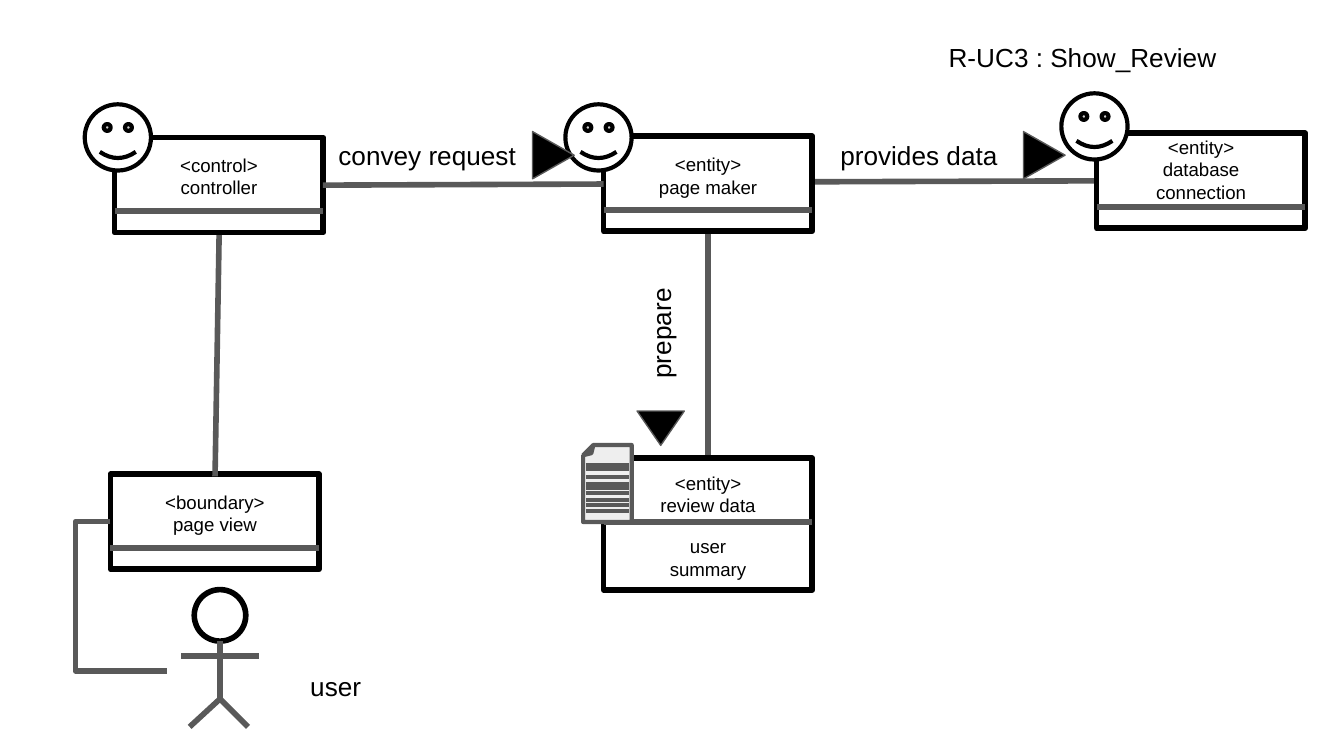
import pptx
import pptx.util
import pptx.dml.color
import pptx.enum.shapes
import pptx.enum.text
import pptx.oxml
import pptx.oxml.ns

Pt = pptx.util.Pt
SHAPES = pptx.enum.shapes.MSO_SHAPE
CONNECTORS = pptx.enum.shapes.MSO_CONNECTOR
ALIGN = pptx.enum.text.PP_ALIGN
COLORS = {"ink": "000000", "line": "595959", "paper": "FFFFFF", "page": "EEEEEE"}
CARD_WIDTH, CARD_HEIGHT, CARD_DIVIDER = 111.8, 51, 39.6
CARD_TEXT_WIDTH = 73


def rgb(name):
    """Return the colour with the given name."""
    return pptx.dml.color.RGBColor.from_string(COLORS[name])


def set_values(target, values):
    """Set each attribute of target from a dict."""
    for name, value in values.items():
        setattr(target, name, value)


def add_child(parent, tag, **attributes):
    """Append an XML element and return it."""
    child = parent.makeelement(pptx.oxml.ns.qn(tag), attributes)
    parent.append(child)
    return child


def adjust(element, name, ratio):
    """Set one adjustment of a preset geometry."""
    geometry = element._element.spPr.find(pptx.oxml.ns.qn("a:prstGeom"))
    for guides in geometry.findall(pptx.oxml.ns.qn("a:avLst")):
        geometry.remove(guides)
    guides = add_child(geometry, "a:avLst")
    add_child(guides, "a:gd", name=name, fmla=f"val {round(ratio * 100000)}")


class Diagram:
    """Holds the style and the current slide."""

    font = {"name": "Arial", "size": Pt(14)}

    def __init__(self, slide):
        """Keep the slide to draw on."""
        self.shapes = slide.shapes

    def outline(self, element, color, width):
        """Give a shape or connector a round-joined line."""
        element.line.color.rgb = rgb(color)
        element.line.width = Pt(width)
        line = element._element.spPr.find(pptx.oxml.ns.qn("a:ln"))
        add_child(line, "a:round")

    def shape(self, kind, left, top, width, height, fill="paper", line="ink",
              weight=3, rotation=0):
        """Draw a preset shape."""
        shape = self.shapes.add_shape(kind, Pt(left), Pt(top), Pt(width), Pt(height))
        shape.shadow.inherit = False
        shape.fill.solid()
        shape.fill.fore_color.rgb = rgb(fill)
        shape.rotation = rotation
        self.outline(shape, line, weight)
        return shape

    def line(self, x1, y1, x2, y2, weight=3, kind=CONNECTORS.STRAIGHT):
        """Draw a connector."""
        connector = self.shapes.add_connector(kind, Pt(x1), Pt(y1), Pt(x2), Pt(y2))
        self.outline(connector, "line", weight)
        add_child(connector._element.spPr, "a:effectLst")
        return connector

    def elbow(self, x1, y1, x2, y2, bend_x):
        """Draw an elbow whose upright part stands at bend_x."""
        connector = self.line(x1, y1, x2, y2, kind=CONNECTORS.ELBOW)
        adjust(connector, "adj1", (bend_x - x1) / (x2 - x1))

    def text(self, left, top, width, height, lines, size=14, align=ALIGN.CENTER,
             rotation=0):
        """Write one paragraph for each line."""
        box = self.shapes.add_textbox(Pt(left), Pt(top), Pt(width), Pt(height))
        box.rotation = rotation
        frame = box.text_frame
        margins = {f"margin_{side}": Pt(7.2)
                   for side in ("left", "right", "top", "bottom")}
        set_values(frame, {"word_wrap": True, **margins})
        frame.text = "\n".join(lines)
        for paragraph in frame.paragraphs:
            paragraph.alignment = align
            set_values(paragraph.font, {**self.font, "size": Pt(size)})
            paragraph.font.color.rgb = rgb("ink")

    def card_text(self, left, top, lines, height=51):
        """Write small text centred on a card that starts at left."""
        self.text(left + (CARD_WIDTH - CARD_TEXT_WIDTH) / 2, top,
                  CARD_TEXT_WIDTH, height, lines, size=10)

    def card(self, left, top, lines, text_shift=1.5, height=CARD_HEIGHT,
             divider=CARD_DIVIDER):
        """Draw a class box with its divider and heading."""
        self.shape(SHAPES.RECTANGLE, left, top, CARD_WIDTH, height)
        self.line(left, top + divider, left + CARD_WIDTH, top + divider)
        self.card_text(left, top + text_shift, lines)

    def face(self, left, top):
        """Draw a smiley."""
        self.shape(SHAPES.SMILEY_FACE, left, top, 35.5, 35.5, weight=2.25)

    def pointer(self, left, top, height, rotation):
        """Draw a black triangle that shows the reading direction."""
        self.shape(SHAPES.ISOSCELES_TRIANGLE, left, top, 25.3, height, "ink",
                   "line", 0.75, rotation)

    def document(self, left, top, rows):
        """Draw a written page."""
        page = self.shape(SHAPES.FOLDED_CORNER, left, top, 26, 41.3, "page",
                          "line", 2.25, 180)
        adjust(page, "adj", 0.21)
        for y in rows:
            self.line(left + 1.5, y, left + 24.5, y, 2.25)

    def person(self, center, top):
        """Draw a stick figure."""
        hip = top + 58.5
        self.shape(SHAPES.OVAL, center - 13.8, top, 27.6, 27.6)
        for x1, y1, x2, y2 in [(0, hip, -16.3, hip + 15), (0, top + 27.6, 0, hip),
                               (0, hip, 15, hip + 15),
                               (-20.9, top + 35.4, 20.9, top + 35.4)]:
            self.line(center + x1, y1, center + x2, y2)


def main():
    """Build the collaboration diagram."""
    presentation = pptx.Presentation()
    set_values(presentation, {"slide_width": Pt(720), "slide_height": Pt(405)})
    diagram = Diagram(presentation.slides.add_slide(presentation.slide_layouts[6]))

    diagram.line(379.3, 122.4, 379.3, 259.2)
    diagram.line(432, 97.4, 587.5, 96.9)
    diagram.person(117.9, 315.9)
    diagram.card(59.2, 254, ["<boundary>", "page view"])
    diagram.elbow(59.2, 279.4, 89.5, 359.3, 40.4)
    diagram.card(61.4, 73.6, ["<control>", "controller"])
    diagram.card(323.4, 72.9, ["<entity>", "page maker"], 2)
    diagram.card(587.5, 71.3, ["<entity>", "database connection"], -5.8)
    diagram.card(323.4, 245.5, ["<entity>", "review data"], 0, 70.6, 34)
    diagram.card_text(323.4, 279.4, ["user", "summary"])
    diagram.line(115.2, 255.2, 117.4, 126)
    diagram.line(173, 99.2, 323.4, 98.6)
    diagram.document(312.4, 238.4, [249.1, 251.3, 255.6, 259.2, 261.4, 264.2,
                                    267.8, 270.7, 273.6])

    for left, top in [(45.4, 55.9), (302.9, 55.9), (568.6, 50)]:
        diagram.face(left, top)
    for left, top, height, rotation in [(283.8, 72, 22.3, 90), (546.8, 72, 22.3, 90),
                                        (341.3, 220.2, 18.4, 180)]:
        diagram.pointer(left, top, height, rotation)

    diagram.text(159.8, 67.7, 138.2, 31.7, ["convey request"])
    diagram.text(423.2, 67.7, 138.2, 31.7, ["provides data"])
    diagram.text(285.1, 162.8, 138.2, 31.7, ["prepare"], rotation=270)
    diagram.text(159.1, 352.1, 49.7, 31.7, ["user"], align=ALIGN.LEFT)
    diagram.text(501.1, 15.1, 177.1, 31.7, ["R-UC3 : Show_Review"], align=ALIGN.LEFT)
    presentation.save("out.pptx")


main()
